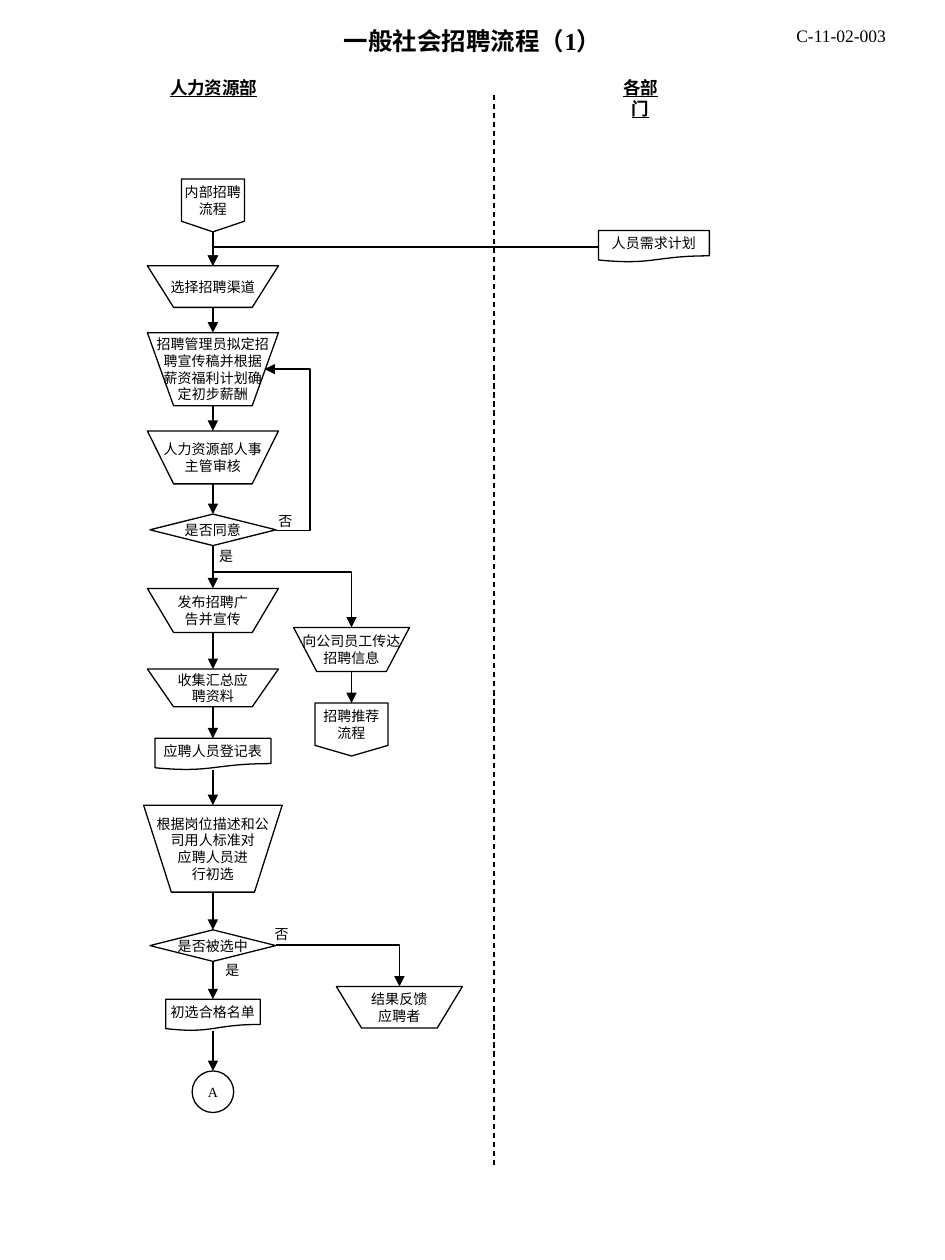
import pptx
import pptx.util
import pptx.dml.color
import pptx.enum.dml
import pptx.enum.shapes
import pptx.enum.text
import pptx.oxml.ns
from lxml import etree

Inches = pptx.util.Inches
Kind = pptx.enum.shapes.MSO_SHAPE
Link = pptx.enum.shapes.MSO_CONNECTOR
qn = pptx.oxml.ns.qn
COLORS = {"ink": "000000", "paper": "FFFFFF"}
INK = pptx.dml.color.RGBColor.from_string(COLORS["ink"])
PAPER = pptx.dml.color.RGBColor.from_string(COLORS["paper"])

deck = pptx.Presentation()
deck.slide_width, deck.slide_height = Inches(7.5), Inches(10)
slide = deck.slides.add_slide(deck.slide_layouts[6])


def write(frame, text, size=8, bold=False, underline=False, wrap=False):
    frame.word_wrap = wrap
    for index, line in enumerate(text.split("\n")):
        paragraph = frame.paragraphs[0] if index == 0 else frame.add_paragraph()
        paragraph.alignment = pptx.enum.text.PP_ALIGN.CENTER
        run = paragraph.add_run()
        run.text = line
        run.font.name = "Times New Roman"
        run.font.size = pptx.util.Pt(size)
        run.font.bold = bold
        run.font.underline = underline
        run.font.color.rgb = INK


def connect(kind, start, end, arrow=True):
    link = slide.shapes.add_connector(kind, *[Inches(v) for v in (*start, *end)])
    link.line.color.rgb = INK
    link.line.width = pptx.util.Pt(0.75)
    if arrow:
        etree.SubElement(link.line._get_or_add_ln(), qn("a:tailEnd"), type="triangle")
    etree.SubElement(link._element.spPr, qn("a:effectLst"))
    return link


MAIN, REFERRAL = 1.69, 2.79
steps = {
    "internal": (Kind.FLOWCHART_OFFPAGE_CONNECTOR, MAIN, 1.42, 0.5, 0.42, "内部招聘\n流程"),
    "channel": (Kind.FLOWCHART_MANUAL_OPERATION, MAIN, 2.11, 1.04, 0.33, "选择招聘渠道"),
    "draft": (Kind.FLOWCHART_MANUAL_OPERATION, MAIN, 2.64, 1.04, 0.58,
              "招聘管理员拟定招\n聘宣传稿并根据\n薪资福利计划确\n定初步薪酬"),
    "review": (Kind.FLOWCHART_MANUAL_OPERATION, MAIN, 3.42, 1.04, 0.42, "人力资源部人事\n主管审核"),
    "agreed": (Kind.FLOWCHART_DECISION, MAIN, 4.08, 1, 0.25, "是否同意"),
    "publish": (Kind.FLOWCHART_MANUAL_OPERATION, MAIN, 4.67, 1.04, 0.35, "发布招聘广\n告并宣传"),
    "collect": (Kind.FLOWCHART_MANUAL_OPERATION, MAIN, 5.31, 1.04, 0.3, "收集汇总应\n聘资料"),
    "register": (Kind.FLOWCHART_DOCUMENT, MAIN, 5.86, 0.92, 0.25, "应聘人员登记表"),
    "screen": (Kind.FLOWCHART_MANUAL_OPERATION, MAIN, 6.39, 1.1, 0.69,
               "根据岗位描述和公\n司用人标准对\n应聘人员进\n行初选"),
    "selected": (Kind.FLOWCHART_DECISION, MAIN, 7.38, 1, 0.25, "是否被选中"),
    "shortlist": (Kind.FLOWCHART_DOCUMENT, MAIN, 7.93, 0.75, 0.25, "初选合格名单"),
    "next": (Kind.FLOWCHART_CONNECTOR, MAIN, 8.5, 0.33, 0.33, "A"),
    "inform": (Kind.FLOWCHART_MANUAL_OPERATION, REFERRAL, 4.98, 0.92, 0.35, "向公司员工传达\n招聘信息"),
    "refer": (Kind.FLOWCHART_OFFPAGE_CONNECTOR, REFERRAL, 5.58, 0.58, 0.42, "招聘推荐\n流程"),
    "feedback": (Kind.FLOWCHART_MANUAL_OPERATION, 3.17, 7.83, 1, 0.33, "结果反馈\n应聘者"),
    "demand": (Kind.FLOWCHART_DOCUMENT, 5.19, 1.83, 0.88, 0.25, "人员需求计划"),
}
boxes = {}
for step, (kind, center, top, width, height, text) in steps.items():
    box = slide.shapes.add_shape(
        kind, Inches(center - width / 2), Inches(top), Inches(width), Inches(height))
    box.shadow.inherit = False
    box.fill.solid()
    box.fill.fore_color.rgb = PAPER
    box.line.color.rgb = INK
    box.line.width = pptx.util.Pt(0.75)
    box.text_frame.vertical_anchor = pptx.enum.text.MSO_ANCHOR.MIDDLE
    write(box.text_frame, text)
    boxes[step] = box

main_flow = [step for step in steps if steps[step][1] == MAIN]
for source, target in [*zip(main_flow, main_flow[1:]), ("inform", "refer")]:
    center, top, height = steps[source][1], steps[source][2], steps[source][4]
    flow = connect(Link.STRAIGHT, (center, top + height), (center, steps[target][2]))
    flow.begin_connect(boxes[source], 2)
    flow.end_connect(boxes[target], 0)

corners = [
    ((4.75, 1.96), (MAIN, 2.11)),
    ((MAIN, 4.54), (REFERRAL, 4.98)),
    ((2.19, 7.5), (3.17, 7.83)),
]
for start, end in corners:
    branch = connect(Link.ELBOW, start, end)
    branch._element.spPr.find(qn("a:prstGeom")).set("prst", "bentConnector2")

rework = connect(Link.ELBOW, (2.19, 4.21), (2.1, 2.93))
rework_bends = rework._element.spPr.find(qn("a:prstGeom")).find(qn("a:avLst"))
etree.SubElement(rework_bends, qn("a:gd"), name="adj1", fmla="val -300000")

divider = connect(Link.STRAIGHT, (3.92, 0.75), (3.92, 9.25), arrow=False)
divider.line.dash_style = pptx.enum.dml.MSO_LINE.DASH

labels = [
    ("一般社会招聘流程（1）", 0, 0.16, 7.5, 0.34, dict(size=14, bold=True, wrap=True)),
    ("C-11-02-003", 6.22, 0.15, 0.91, 0.27, dict(size=10)),
    ("人力资源部", 1.25, 0.56, 0.89, 0.27, dict(size=10, bold=True, underline=True)),
    ("各部门", 4.78, 0.56, 0.61, 0.27, dict(size=10, bold=True, underline=True)),
    ("否", 2.11, 4.02, 0.31, 0.24, {}),
    ("是", 1.64, 4.3, 0.31, 0.24, {}),
    ("否", 2.08, 7.3, 0.31, 0.24, {}),
    ("是", 1.69, 7.58, 0.31, 0.24, {}),
]
for text, left, top, width, height, style in labels:
    label = slide.shapes.add_textbox(Inches(left), Inches(top), Inches(width), Inches(height))
    label.text_frame.auto_size = pptx.enum.text.MSO_AUTO_SIZE.SHAPE_TO_FIT_TEXT
    write(label.text_frame, text, **style)

deck.save("out.pptx")
